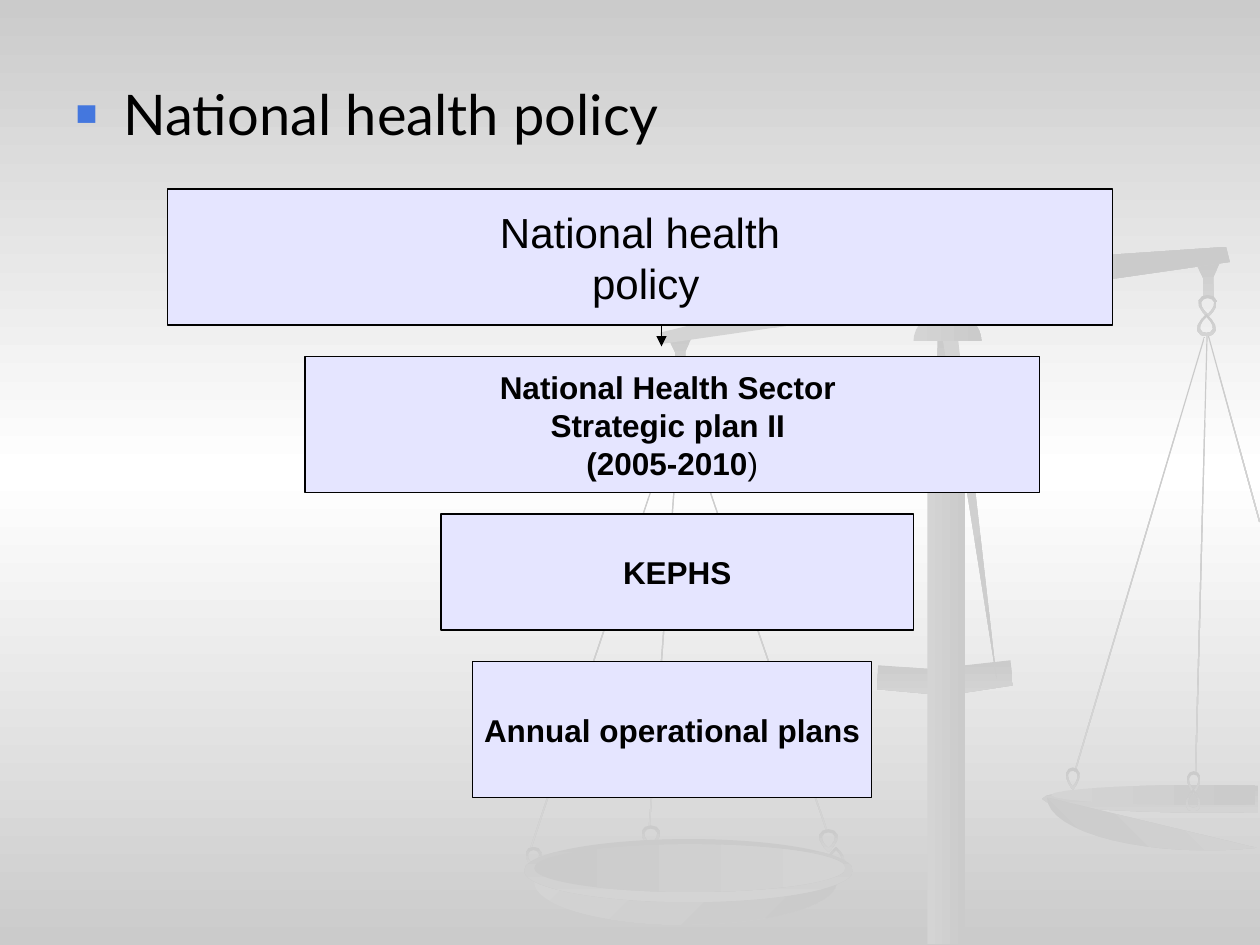
from copy import deepcopy
from dataclasses import dataclass
from math import cos, pi, radians, sin

from lxml.etree import SubElement
from pptx import Presentation
from pptx.dml.color import RGBColor
from pptx.dml.fill import FillFormat
from pptx.enum.shapes import MSO_CONNECTOR, MSO_SHAPE
from pptx.enum.text import MSO_ANCHOR, PP_ALIGN
from pptx.oxml.ns import qn
from pptx.shapes.autoshape import Shape
from pptx.shapes.shapetree import GroupShapes, SlideShapes
from pptx.slide import Slide
from pptx.text.text import _Paragraph
from pptx.util import Inches, Pt

BLACK = RGBColor(0x00, 0x00, 0x00)
WHITE = RGBColor(0xFF, 0xFF, 0xFF)
GRAY = RGBColor(0xCB, 0xCB, 0xCB)
PALE = RGBColor(0xD4, 0xD4, 0xD4)
LAVENDER = RGBColor(0xE5, 0xE5, 0xFF)
BULLET_HEX = "4477DE"
LIGHT_FIRST = (PALE, GRAY)
DARK_FIRST = (GRAY, PALE)

Points = list[tuple[float, float]]


@dataclass(frozen=True)
class Preset:
    left: float
    top: float
    width: float
    height: float
    rotation: float = 0
    kind: MSO_SHAPE = MSO_SHAPE.RECTANGLE
    colors: tuple[RGBColor, RGBColor] = DARK_FIRST
    angle: float = 90


@dataclass(frozen=True)
class Outline:
    contours: tuple[Points, ...]
    colors: tuple[RGBColor, RGBColor] = DARK_FIRST
    angle: float = 90


@dataclass(frozen=True)
class PolicyBox:
    left: float
    top: float
    width: float
    height: float
    lines: tuple[str, ...]
    size: float = 18
    bold: bool = True
    plain_tail: str = ""


def wire(left: float, top: float, length: float, rotation: float) -> Preset:
    return Preset(left, top, 0.01, length, rotation)


def ring(left: float, top: float, width: float = 0.15, height: float = 0.18,
         tip_up: bool = False) -> Outline:
    """A drop-shaped chain link, pointing down unless tip_up."""
    turns = [step * pi / 6 for step in range(12)]
    drop = [(sin(turn) * abs(cos(turn / 2)) / 1.54, -cos(turn) / 2) for turn in turns]
    side = -1 if tip_up else 1
    return Outline(tuple(
        [(left + width * (0.5 + x * size), top + height * (0.5 + side * y * size))
         for x, y in drop] for size in (1, 0.7)))


def arc(center_x: float, center_y: float, radius_x: float, radius_y: float,
        start: int, end: int) -> Points:
    """Points along an ellipse; degrees run clockwise from the right."""
    steps = 16
    angles = [radians(start + (end - start) * step / steps) for step in range(steps + 1)]
    return [(center_x + radius_x * cos(a), center_y + radius_y * sin(a)) for a in angles]


def hook(left: float, top: float) -> Outline:
    offsets = [(.18, 0), (0, .02), (.05, .12), (.05, .27), (.13, .27), (.13, .11)]
    return Outline(([(left + x, top + y) for x, y in offsets],))


CROSSPIECE = [(6.97, 5.28), (7.39, 5.31), (8.02, 5.24), (8.04, 5.44), (7.51, 5.52), (6.96, 5.47)]
BEAM = [(9.73, 1.96), (9.76, 2.08), (5.25, 2.73), (5.24, 2.64), (7.37, 2.12)]
POINTER = [(7.91, 5.39), (7.5, 2.8), (7.48, 2.68), (7.6, 2.65)]

SCALE_PARTS = [
    wire(9.04, 2.6, 3.6, 16.6),
    ring(8.46, 6.09, width=0.11),
    wire(9.53, 2.66, 3.47, 1.5),
    wire(9.79, 2.64, 1.53, -15.4),
    wire(5.98, 3.15, 3.53, -19),
    wire(4.79, 3.16, 3.68, 18.6),
    wire(5.27, 3.25, 3.31, 4.2),
    Outline((CROSSPIECE,)),
    # Right pan, cut at the page edge: rim, bowl and inside
    Outline((arc(9.58, 6.34, 1.31, 0.11, 72, 288),)),
    Outline((arc(9.58, 6.33, 1.27, 0.42, 72, 180),), angle=315),
    Outline((arc(9.58, 6.31, 1.24, 0.08, 72, 288),), LIGHT_FIRST, 0),
    hook(5.31, 2.68),
    hook(9.5, 2.09),
    ring(9.51, 2.34),
    ring(9.5, 2.49, tip_up=True),
    ring(9.42, 6.12, width=0.11),
    Outline((BEAM,), LIGHT_FIRST, 0),
    ring(5.09, 6.55),
    ring(6.56, 6.72, tip_up=True),
    ring(4.17, 6.72, width=0.13),
    # Left pan
    Preset(4.24, 6.66, 2.4, 0.68, 0, MSO_SHAPE.OVAL, LIGHT_FIRST, 45),
    Preset(4.16, 6.66, 2.61, 0.5, 0, MSO_SHAPE.OVAL),
    Preset(4.24, 6.7, 2.47, 0.38, 0, MSO_SHAPE.OVAL, angle=0),
    ring(6.5, 6.58),
    ring(9.41, 6.26, width=0.12, tip_up=True),
    # Column, pointer and cap
    Preset(7.36, 3.08, 0.3, 4.41, colors=LIGHT_FIRST, angle=0),
    Preset(7.44, 2.68, 0.13, 0.42),
    Outline((POINTER,), LIGHT_FIRST, 45),
    Outline((arc(7.52, 2.71, 0.27, 0.24, 180, 360),), LIGHT_FIRST, 0),
]

POLICY_BOXES = [
    PolicyBox(1.33, 1.5, 7.5, 1.08, ("National health", " policy"), size=24, bold=False),
    PolicyBox(2.42, 2.83, 5.83, 1.08,
              ("National Health Sector ", "Strategic plan II ", "(2005-2010"), plain_tail=")"),
    PolicyBox(3.5, 4.08, 3.75, 0.92, ("KEPHS",)),
    PolicyBox(3.75, 5.25, 3.17, 1.08, ("Annual operational plans",)),
]


def shade(fill: FillFormat, colors: tuple[RGBColor, ...], angle: float) -> None:
    """Colour the existing gradient stops; the angle runs clockwise."""
    fill.gradient_angle = (360 - angle) % 360
    for index, (stop, color) in enumerate(zip(fill.gradient_stops, colors)):
        stop.color.rgb = color
        stop.position = index / (len(colors) - 1)


def paint_background(page: Slide) -> None:
    fill = page.background.fill
    fill.gradient()
    first_stop = page.element.find(".//" + qn("a:gs"))
    first_stop.addnext(deepcopy(first_stop))
    shade(fill, (GRAY, WHITE, GRAY), 90)


def draw_outline(shapes: GroupShapes, part: Outline) -> Shape:
    contours = [[(Inches(x), Inches(y)) for x, y in contour] for contour in part.contours]
    builder = shapes.build_freeform(*contours[0][0])
    for index, contour in enumerate(contours):
        if index:
            builder.move_to(*contour[0])
        builder.add_line_segments(contour[1:], close=True)
    return builder.convert_to_shape()


def draw_preset(shapes: GroupShapes | SlideShapes, part: Preset | PolicyBox,
                kind: MSO_SHAPE) -> Shape:
    return shapes.add_shape(kind, Inches(part.left), Inches(part.top),
                            Inches(part.width), Inches(part.height))


def draw_scale(shapes: GroupShapes) -> None:
    for part in SCALE_PARTS:
        if isinstance(part, Outline):
            shape = draw_outline(shapes, part)
        else:
            shape = draw_preset(shapes, part, part.kind)
            shape.rotation = part.rotation
        shape.shadow.inherit = False
        shape.line.fill.background()
        shape.fill.gradient()
        shade(shape.fill, part.colors, part.angle)


def add_span(para: _Paragraph, text: str, *, size: float, font: str = "Arial",
             bold: bool = False) -> None:
    span = para.add_run()
    span.text = text
    span.font.name, span.font.size, span.font.bold = font, Pt(size), bold
    span.font.color.rgb = BLACK


def draw_policy_box(page: Slide, item: PolicyBox) -> None:
    box = draw_preset(page.shapes, item, MSO_SHAPE.RECTANGLE)
    box.shadow.inherit = False
    box.fill.solid()
    box.fill.fore_color.rgb = LAVENDER
    box.line.color.rgb = BLACK
    box.line.width = Pt(0.75)
    frame = box.text_frame
    frame.word_wrap = False
    frame.vertical_anchor = MSO_ANCHOR.MIDDLE
    for index, line in enumerate(item.lines):
        para = frame.add_paragraph() if index else frame.paragraphs[0]
        para.alignment = PP_ALIGN.CENTER
        add_span(para, line, size=item.size, bold=item.bold)
    if item.plain_tail:
        add_span(para, item.plain_tail, size=item.size)


def draw_arrow(page: Slide, x: float, top: float, bottom: float) -> None:
    arrow = page.shapes.add_connector(MSO_CONNECTOR.STRAIGHT, Inches(x), Inches(top),
                                      Inches(x), Inches(bottom))
    arrow.line.color.rgb = BLACK
    arrow.line.width = Pt(0.75)
    properties = arrow.element.spPr
    SubElement(properties.find(qn("a:ln")), qn("a:tailEnd"), type="triangle")
    SubElement(properties, qn("a:effectLst"))


def fill_body(body: Shape) -> None:
    body.left, body.top, body.width, body.height = map(Inches, (0.5, 0.58, 9, 6.12))
    para = body.text_frame.paragraphs[0]
    para.space_before = Pt(0)
    properties = para._p.get_or_add_pPr()
    properties.set("marL", str(Inches(0.38)))
    properties.set("indent", str(Inches(-0.38)))
    SubElement(SubElement(properties, qn("a:buClr")), qn("a:srgbClr"), val=BULLET_HEX)
    SubElement(properties, qn("a:buSzPct"), val="65000")
    SubElement(properties, qn("a:buFont"), typeface="Arial")
    SubElement(properties, qn("a:buChar"), char="■")
    add_span(para, "National health policy", size=32, font="Lato")


def main() -> None:
    deck = Presentation()
    deck.slide_width, deck.slide_height = Inches(10), Inches(7.5)
    page = deck.slides.add_slide(deck.slide_layouts[1])
    title, body = page.placeholders
    title.element.getparent().remove(title.element)
    paint_background(page)
    draw_scale(page.shapes.add_group_shape().shapes)
    fill_body(body)
    for item in POLICY_BOXES:
        draw_policy_box(page, item)
    draw_arrow(page, 5.25, 2.58, 2.75)
    deck.save("out.pptx")


if __name__ == "__main__":
    main()
